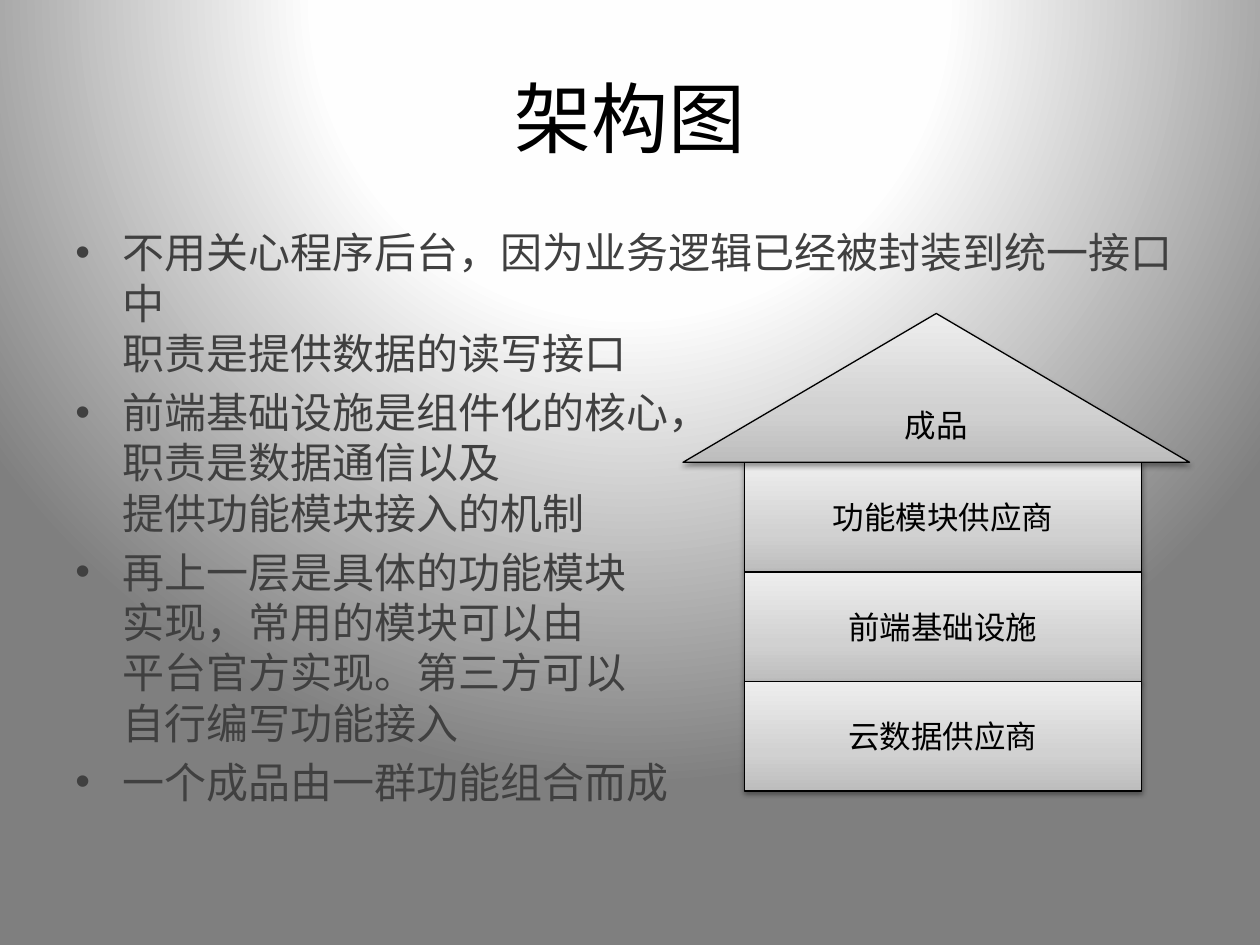
from lxml import etree
from pptx import Presentation
from pptx.dml.color import RGBColor
from pptx.enum.shapes import MSO_SHAPE
from pptx.enum.text import MSO_ANCHOR, PP_ALIGN
from pptx.oxml.ns import qn
from pptx.util import Cm, Pt

RECTANGLE, TRIANGLE = MSO_SHAPE.RECTANGLE, MSO_SHAPE.ISOSCELES_TRIANGLE
CENTER, LEFT = PP_ALIGN.CENTER, PP_ALIGN.LEFT
MIDDLE, TOP = MSO_ANCHOR.MIDDLE, MSO_ANCHOR.TOP
FONT = "DejaVu Sans"
BLACK, DARK_GRAY = "000000", "404040"

BACKDROP_STOPS = [(0, "FFFFFF"), (40, "FEFEFE"), (100, "7F7F7F")]
BLOCK_STOPS = [(0, "BDBDBD"), (35, "D1D1D1"), (100, "EEEEEE")]

POINTS = [
    ["不用关心程序后台，因为业务逻辑已经被封装到统一接口中",
     "职责是提供数据的读写接口"],
    ["前端基础设施是组件化的核心，", "职责是数据通信以及", "提供功能模块接入的机制"],
    ["再上一层是具体的功能模块", "实现，常用的模块可以由",
     "平台官方实现。第三方可以", "自行编写功能接入"],
    ["一个成品由一群功能组合而成"],
]
ROOF = "成品"
FLOORS = ["功能模块供应商", "前端基础设施", "云数据供应商"]


def color(hex_value):
    return RGBColor.from_string(hex_value)


def child(parent, tag, **attributes):
    """Append a DrawingML element."""
    node = etree.SubElement(parent, qn(tag))
    for key, value in attributes.items():
        node.set(key, str(value))
    return node


def set_gradient(fill, owner, stops):
    """Give a fill its colour stops and return the gradient element."""
    fill.gradient()
    gradient = next(owner.iter(qn("a:gradFill")))
    for old in list(gradient):
        gradient.remove(old)
    stop_list = child(gradient, "a:gsLst")
    for percent, hex_value in stops:
        stop = child(stop_list, "a:gs", pos=percent * 1000)
        child(stop, "a:srgbClr", val=hex_value)
    return gradient


def add_lines(paragraph, lines, size, hex_value, align):
    """Write lines of one paragraph, parted by line breaks."""
    paragraph.alignment = align
    for index, line in enumerate(lines):
        if index:
            paragraph.add_line_break()
        run = paragraph.add_run()
        run.text = line
        run.font.size = Pt(size)
        run.font.name = FONT
        run.font.color.rgb = color(hex_value)
        child(run.font._element, "a:ea", typeface=FONT)


def add_text_frame(slide, box, anchor):
    frame = slide.shapes.add_textbox(*map(Cm, box)).text_frame
    frame.word_wrap = True
    frame.vertical_anchor = anchor
    return frame


def paint_background(slide):
    gradient = set_gradient(slide.background.fill, slide.element, BACKDROP_STOPS)
    glow = child(gradient, "a:path", path="circle")
    child(glow, "a:fillToRect", l=50000, t=-80000, r=50000, b=180000)


def add_title(slide, box):
    frame = add_text_frame(slide, box, MIDDLE)
    add_lines(frame.paragraphs[0], ["架构图"], 44, BLACK, CENTER)


def add_points(slide, box):
    frame = add_text_frame(slide, box, TOP)
    for index, lines in enumerate(POINTS):
        paragraph = frame.add_paragraph() if index else frame.paragraphs[0]
        add_lines(paragraph, lines, 24, DARK_GRAY, LEFT)
        paragraph.space_before = Pt(4.8)
        properties = paragraph._p.get_or_add_pPr()
        properties.set("marL", str(Cm(0.95)))
        properties.set("indent", str(-Cm(0.95)))
        child(properties, "a:buFont", typeface="Arial")
        child(properties, "a:buChar", char="•")


def add_block(slide, preset, box, label):
    """One part of the house: gradient, thin outline, soft shadow, label."""
    block = slide.shapes.add_shape(preset, *map(Cm, box))
    gradient = set_gradient(block.fill, block.element, BLOCK_STOPS)
    child(gradient, "a:lin", ang=270 * 60000, scaled=0)
    block.line.color.rgb = color(BLACK)
    block.line.width = Pt(0.75)

    block.shadow.inherit = False
    effects = next(block.element.iter(qn("a:effectLst")))
    shadow = child(effects, "a:outerShdw", blurRad=Pt(3.1), dist=Pt(1.6),
                   dir=90 * 60000, rotWithShape=0)
    child(child(shadow, "a:srgbClr", val=BLACK), "a:alpha", val=38000)

    frame = block.text_frame
    frame.word_wrap = True
    frame.vertical_anchor = MIDDLE
    add_lines(frame.paragraphs[0], [label], 18, BLACK, CENTER)


def add_house(slide, box):
    left, top, width, height = box
    roof_height, wall_inset, wall_width = 3, 1.24, 8
    floor_height = (height - roof_height) / len(FLOORS)
    for index, label in enumerate(FLOORS):
        floor_top = top + roof_height + index * floor_height
        add_block(slide, RECTANGLE,
                  (left + wall_inset, floor_top, wall_width, floor_height), label)
    add_block(slide, TRIANGLE, (left, top, width, roof_height), ROOF)


def main():
    presentation = Presentation()
    presentation.slide_width, presentation.slide_height = Cm(25.4), Cm(19.05)
    slide = presentation.slides.add_slide(presentation.slide_layouts[6])
    paint_background(slide)
    add_title(slide, (1.27, 0.76, 22.86, 3.18))
    add_points(slide, (1.27, 4.45, 22.86, 12.57))
    add_house(slide, (13.77, 6.32, 10.21, 9.63))
    presentation.save("out.pptx")


if __name__ == "__main__":
    main()
